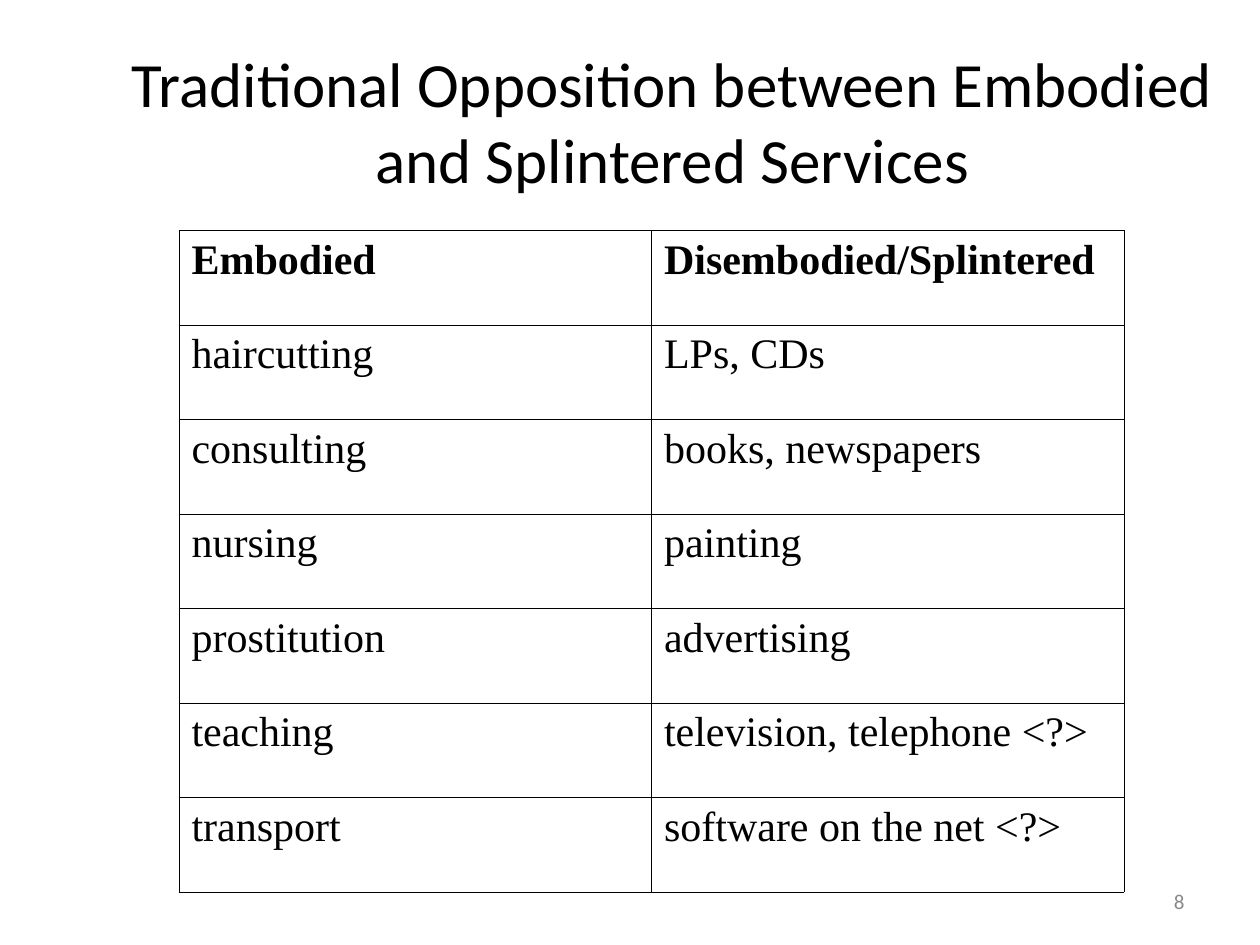
from lxml import etree
from pptx import Presentation
from pptx.dml.color import RGBColor
from pptx.enum.text import MSO_ANCHOR, PP_ALIGN
from pptx.oxml.ns import qn
from pptx.util import Inches, Pt

CENTER, RIGHT, LEFT = PP_ALIGN.CENTER, PP_ALIGN.RIGHT, PP_ALIGN.LEFT
MIDDLE, TOP = MSO_ANCHOR.MIDDLE, MSO_ANCHOR.TOP

SERVICES = [
    ("Embodied", "Disembodied/Splintered"),
    ("haircutting", "LPs, CDs"),
    ("consulting", "books, newspapers"),
    ("nursing", "painting"),
    ("prostitution", "advertising"),
    ("teaching", "television, telephone <?>"),
    ("transport", "software on the net <?>"),
]


def rgb(value):
    return RGBColor.from_string(value)


class SlideBuilder:
    heading_font = "Calibri"
    table_font = "Times New Roman"
    ink = "000000"
    muted = "898989"
    rule_width = Pt(0.45)

    def __init__(self, slide):
        self.slide = slide

    def set_text(self, frame, text, font, size, color, align=LEFT, bold=False):
        frame.text = text
        paragraph = frame.paragraphs[0]
        paragraph.alignment = align
        for run in paragraph.runs:
            run.font.name = font
            run.font.size = Pt(size)
            run.font.bold = bold
            run.font.color.rgb = rgb(color)

    def text(self, left, top, width, height, text, size, color, align):
        box = self.slide.shapes.add_textbox(
            Inches(left), Inches(top), Inches(width), Inches(height))
        frame = box.text_frame
        frame.word_wrap = True
        frame.vertical_anchor = MIDDLE
        self.set_text(frame, text, self.heading_font, size, color, align)

    def borders(self, cell):
        properties = cell._tc.get_or_add_tcPr()
        for position, side in enumerate(("a:lnL", "a:lnR", "a:lnT", "a:lnB")):
            line = etree.Element(qn(side), w=str(int(self.rule_width)))
            fill = etree.SubElement(line, qn("a:solidFill"))
            etree.SubElement(fill, qn("a:srgbClr"), val=self.ink)
            properties.insert(position, line)

    def table(self, left, top, width, height, rows, size):
        table = self.slide.shapes.add_table(
            len(rows), len(rows[0]), Inches(left), Inches(top),
            Inches(width), Inches(height)).table
        table.horz_banding = False
        for row_index, row in enumerate(rows):
            for column_index, entry in enumerate(row):
                cell = table.cell(row_index, column_index)
                cell.fill.background()
                cell.vertical_anchor = TOP
                self.set_text(cell.text_frame, entry, self.table_font, size,
                              self.ink, bold=row_index == 0)
                self.borders(cell)


def main():
    presentation = Presentation()
    presentation.slide_width = Inches(10)
    presentation.slide_height = Inches(7.5)
    builder = SlideBuilder(
        presentation.slides.add_slide(presentation.slide_layouts[6]))

    # Slide number
    builder.text(7.17, 6.95, 2.33, 0.4, "8", 12, builder.muted, RIGHT)

    # Title
    builder.text(
        0.67, 0.33, 9.33, 1.25,
        "Traditional Opposition between Embodied and Splintered Services",
        36, builder.ink, CENTER)

    # Comparison of services
    builder.table(1.42, 1.83, 7.5, 5.25, SERVICES, 24)

    presentation.save("out.pptx")


if __name__ == "__main__":
    main()
